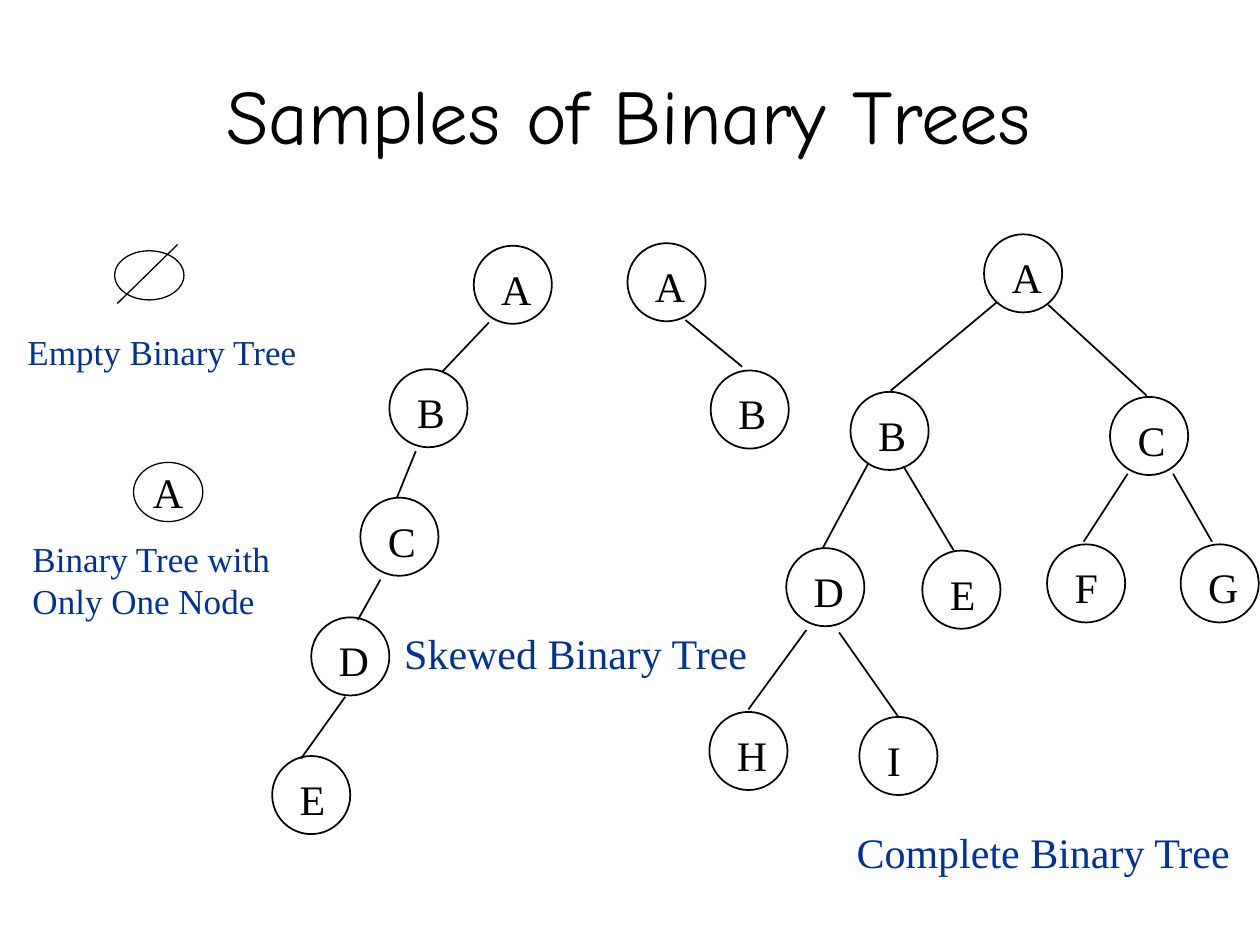
"""Build a slide showing samples of binary trees."""
from pptx import Presentation
from pptx.dml.color import RGBColor
from pptx.enum.shapes import MSO_CONNECTOR, MSO_SHAPE
from pptx.enum.text import MSO_ANCHOR, MSO_AUTO_SIZE, PP_ALIGN
from pptx.oxml.ns import qn
from pptx.util import Inches, Pt
from lxml.etree import SubElement

THEME = {
    "ink": RGBColor(0, 0, 0), "note": RGBColor(0x00, 0x33, 0x99),
    "head": "Comic Neue", "body": "Times New Roman",
    "title": 44, "large": 24, "small": 20, "line": 1, "thin": 0.75,
}
TITLE = "Samples of Binary Trees"
SIZE = 0.62
WIDE = {"A": 0.44, "B": 0.42, "C": 0.42, "D": 0.44, "E": 0.4,
        "F": 0.39, "G": 0.44, "H": 0.44, "I": 0.31}
TREES = [
    {"nodes": [("A", 3.76, 1.95), ("B", 3.09, 2.93), ("C", 2.86, 3.95),
               ("D", 2.47, 4.9), ("E", 2.16, 6)],
     "edges": [(3.88, 2.56, 3.51, 2.95), (3.3, 3.58, 3.15, 3.95),
               (3.02, 4.6, 2.84, 4.92), (2.74, 5.53, 2.39, 6.02)]},
    {"nodes": [("A", 4.98, 1.93), ("B", 5.64, 2.94)],
     "edges": [(5.44, 2.54, 5.89, 2.91)]},
    {"nodes": [("A", 7.81, 1.86), ("B", 6.75, 3.11), ("C", 8.81, 3.15),
               ("D", 6.24, 4.35), ("E", 7.32, 4.37), ("F", 8.31, 4.32),
               ("G", 9.37, 4.32), ("H", 5.63, 5.65), ("I", 6.82, 5.69)],
     "edges": [(7.91, 2.4, 7.07, 3.1), (8.32, 2.42, 9.1, 3.14),
               (6.89, 3.68, 6.53, 4.35), (7.17, 3.7, 7.57, 4.37),
               (8.95, 3.76, 8.6, 4.3), (9.31, 3.76, 9.62, 4.3),
               (6.4, 5, 5.94, 5.63), (6.66, 5.02, 7.13, 5.69)]},
]
NOTES = [
    ("Empty Binary Tree", 0.12, 2.57, 2.34, 0.43, "small"),
    ("Binary Tree with\nOnly One Node", 0.16, 4.22, 2.17, 0.77, "small"),
    ("Skewed Binary Tree", 3.11, 4.93, 2.94, 0.5, "large"),
    ("Complete Binary Tree", 6.7, 6.51, 3.18, 0.5, "large"),
]
LONE = ("A", 1.06, 3.67, 0.55, 0.47)
EMPTY = (0.91, 1.99, 0.55, 0.39)
SLASH = (1.41, 1.94, 0.93, 2.41)


def style(frame, text, size, color="ink", font="body"):
    frame.text = text
    for para in frame.paragraphs:
        for run in para.runs:
            run.font.name = THEME[font]
            run.font.size = Pt(THEME[size])
            run.font.color.rgb = THEME[color]


def label(shapes, text, box, size="large", color="ink"):
    frame = shapes.add_textbox(*map(Inches, box)).text_frame
    frame.word_wrap = False
    frame.auto_size = MSO_AUTO_SIZE.SHAPE_TO_FIT_TEXT
    style(frame, text, size, color)


def ring(shapes, box, width="line"):
    oval = shapes.add_shape(MSO_SHAPE.OVAL, *map(Inches, box))
    oval.shadow.inherit = False
    oval.fill.background()
    oval.line.color.rgb = THEME["ink"]
    oval.line.width = Pt(THEME[width])
    return oval


def link(shapes, ends, width="line"):
    edge = shapes.add_connector(MSO_CONNECTOR.STRAIGHT, *map(Inches, ends))
    edge.line.color.rgb = THEME["ink"]
    edge.line.width = Pt(THEME[width])
    SubElement(edge.element.spPr, qn("a:effectLst"))


def node(shapes, name, left, top):
    group = shapes.add_group_shape().shapes
    ring(group, (left, top, SIZE, SIZE))
    label(group, name, (left + 0.12, top + 0.09, WIDE[name], 0.5))


def main():
    deck = Presentation()
    deck.slide_width, deck.slide_height = Inches(10), Inches(7.5)
    slide = deck.slides.add_slide(deck.slide_layouts[5])
    shapes = slide.shapes

    title = shapes.title
    title.left, title.top = Inches(-0.02), Inches(0.28)
    title.width, title.height = Inches(10.02), Inches(1.25)
    style(title.text_frame, TITLE, "title", font="head")
    title.text_frame.vertical_anchor = MSO_ANCHOR.MIDDLE
    title.text_frame.paragraphs[0].alignment = PP_ALIGN.CENTER

    for tree in TREES:
        for name, left, top in tree["nodes"]:
            node(shapes, name, left, top)
        for ends in tree["edges"]:
            link(shapes, ends)

    name, *box = LONE
    frame = ring(shapes, box, "thin").text_frame
    frame.word_wrap = False
    frame.vertical_anchor = MSO_ANCHOR.MIDDLE
    style(frame, name, "large")
    frame.paragraphs[0].alignment = PP_ALIGN.CENTER

    empty = shapes.add_group_shape().shapes
    ring(empty, EMPTY, "thin")
    link(empty, SLASH, "thin")

    for text, *box, size in NOTES:
        label(shapes, text, box, size, "note")
    deck.save("out.pptx")


if __name__ == "__main__":
    main()
